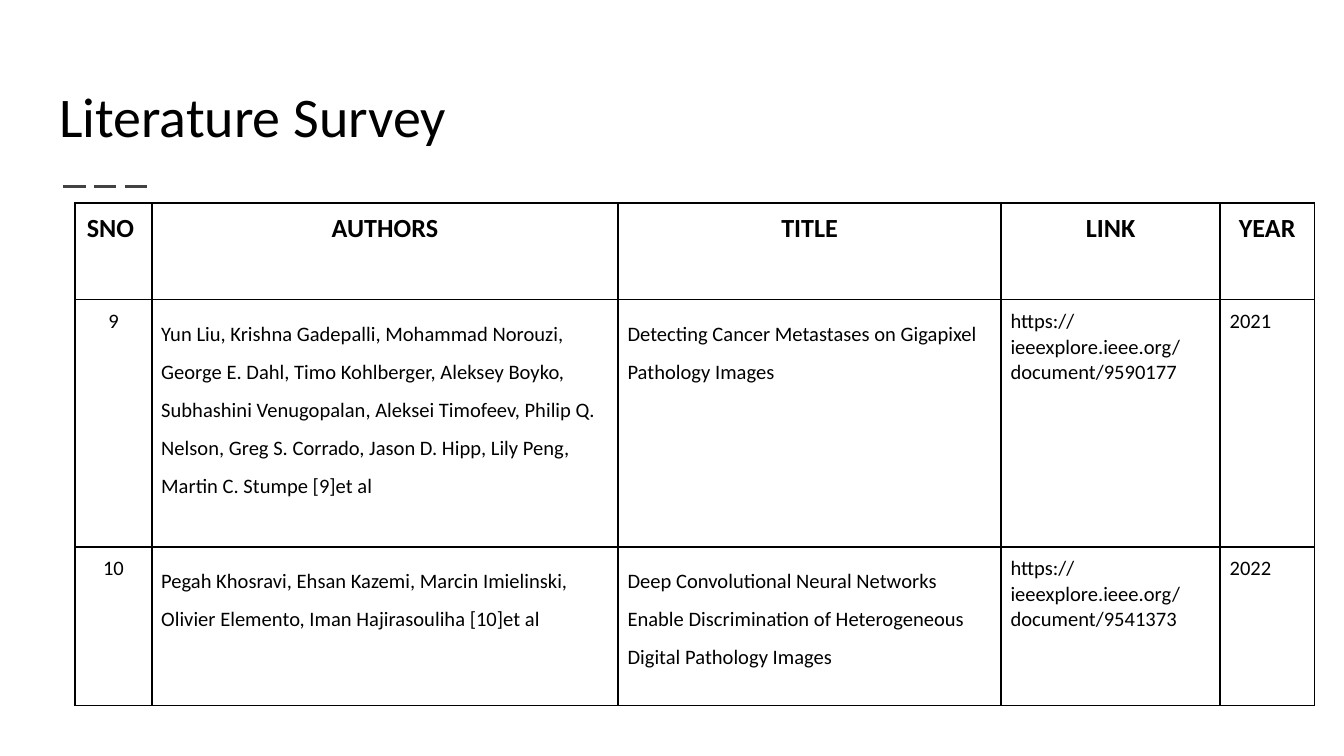
from pptx import Presentation
from pptx.dml.color import RGBColor
from pptx.enum.dml import MSO_LINE
from pptx.enum.shapes import MSO_CONNECTOR
from pptx.enum.text import MSO_ANCHOR, MSO_AUTO_SIZE, PP_ALIGN
from pptx.oxml import parse_xml
from pptx.oxml.ns import nsdecls
from pptx.util import Inches, Pt

COLORS = {"text": "000000", "border": "000000", "rule": "424242"}
FONT = "Calibri"
COLUMNS = [0.57, 3.47, 2.85, 1.63, 0.7]
ROWS = [0.72, 1.84, 1.18]
SURVEY = [
    ["SNO ", "AUTHORS", "TITLE", "LINK", "YEAR"],
    [
        "9",
        "Yun Liu, Krishna Gadepalli, Mohammad Norouzi, George E. Dahl, "
        "Timo Kohlberger, Aleksey Boyko, Subhashini Venugopalan, "
        "Aleksei Timofeev, Philip Q. Nelson, Greg S. Corrado, "
        "Jason D. Hipp, Lily Peng, Martin C. Stumpe [9]et al",
        "Detecting Cancer Metastases on Gigapixel Pathology Images",
        "https://ieeexplore.ieee.org/document/9590177",
        "2021",
    ],
    [
        "10",
        "Pegah Khosravi, Ehsan Kazemi, Marcin Imielinski, "
        "Olivier Elemento, Iman Hajirasouliha [10]et al",
        "Deep Convolutional Neural Networks Enable Discrimination of "
        "Heterogeneous Digital Pathology Images",
        "https://ieeexplore.ieee.org/document/9541373",
        "2022",
    ],
]


def style_text(para, size, bold=False):
    for span in para.runs:
        span.font.name = FONT
        span.font.size = Pt(size)
        span.font.bold = bold
        span.font.color.rgb = RGBColor.from_string(COLORS["text"])


def add_borders(cell):
    properties = cell._tc.get_or_add_tcPr()
    for side in ("lnL", "lnR", "lnT", "lnB"):
        properties.append(parse_xml(
            f'<a:{side} {nsdecls("a")} w="{Pt(1)}"><a:solidFill>'
            f'<a:srgbClr val="{COLORS["border"]}"/></a:solidFill>'
            f'<a:prstDash val="solid"/></a:{side}>'
        ))


deck = Presentation()
deck.slide_width = Inches(10)
deck.slide_height = deck.slide_width * 9 // 16
page = deck.slides.add_slide(deck.slide_layouts[5])

rule = page.shapes.add_connector(
    MSO_CONNECTOR.STRAIGHT, Inches(0.47), Inches(1.39), Inches(1.14), Inches(1.39)
)
rule.line.color.rgb = RGBColor.from_string(COLORS["rule"])
rule.line.width = Pt(1.5)
rule.line.dash_style = MSO_LINE.LONG_DASH
rule._element.spPr.append(parse_xml(f'<a:effectLst {nsdecls("a")}/>'))

title = page.shapes.title
title.left, title.top = Inches(0.34), Inches(0.41)
title.width, title.height = Inches(9.32), Inches(0.8)
frame = title.text_frame
frame.text = "Literature Survey"
frame.auto_size = MSO_AUTO_SIZE.NONE
frame.vertical_anchor = MSO_ANCHOR.BOTTOM
frame.margin_left = frame.margin_right = Inches(0.1)
frame.margin_top = frame.margin_bottom = Inches(0.1)
frame.paragraphs[0].alignment = PP_ALIGN.LEFT
style_text(frame.paragraphs[0], 30)

table = page.shapes.add_table(
    len(ROWS), len(COLUMNS), Inches(0.56), Inches(1.51),
    Inches(sum(COLUMNS)), Inches(sum(ROWS)),
).table
table.first_row = False
table.horz_banding = False
for column, width in zip(table.columns, COLUMNS):
    column.width = Inches(width)
for row, height in zip(table.rows, ROWS):
    row.height = Inches(height)

for row_index, entries in enumerate(SURVEY):
    header = row_index == 0
    for column_index, entry in enumerate(entries):
        cell = table.cell(row_index, column_index)
        cell.text_frame.text = entry
        cell.margin_left = cell.margin_right = Inches(0.07)
        cell.margin_top = cell.margin_bottom = Inches(0.07)
        add_borders(cell)
        cell.fill.background()
        para = cell.text_frame.paragraphs[0]
        centred = header or column_index == 0
        para.alignment = PP_ALIGN.CENTER if centred else PP_ALIGN.LEFT
        if not header and column_index in (1, 2):
            para.line_spacing = 1.5
            if row_index == 2:
                para.space_after = Pt(8)
        style_text(para, 14 if header else 11, header)

deck.save("out.pptx")
